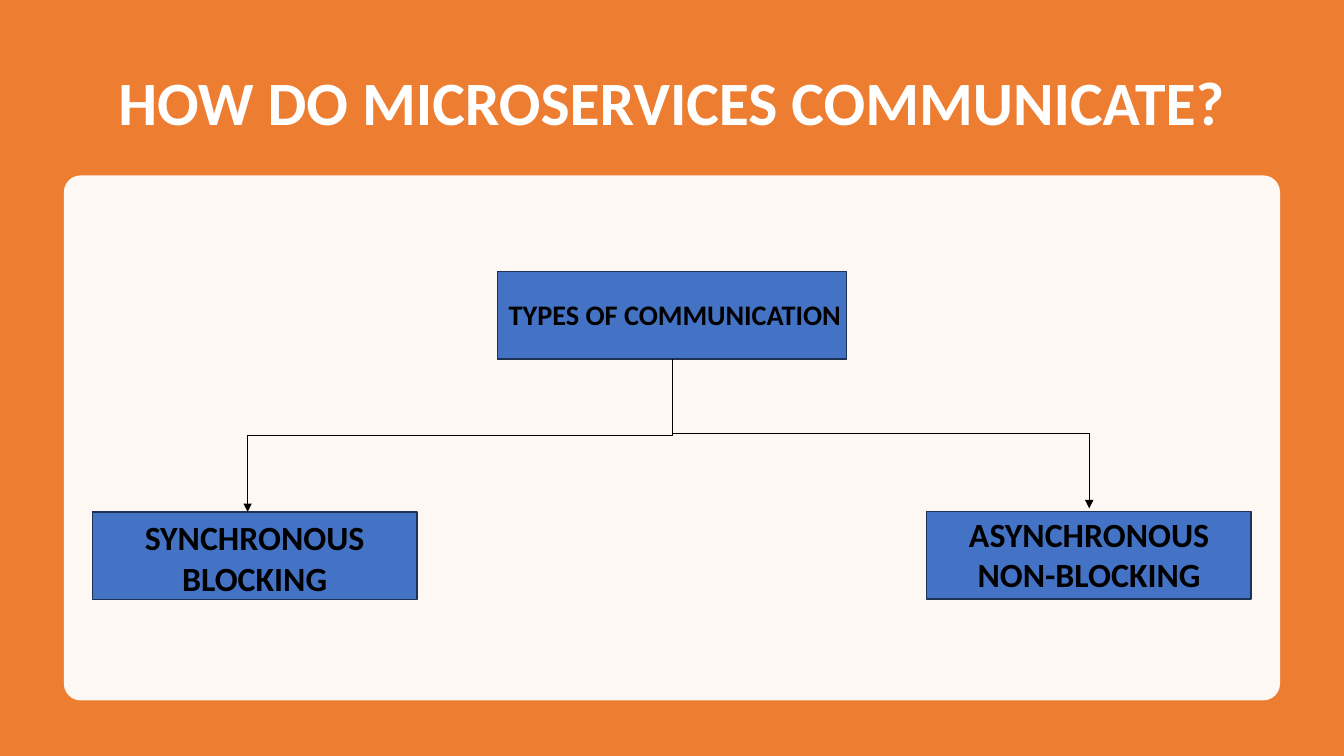
from lxml import etree
from pptx import Presentation
from pptx.dml.color import RGBColor
from pptx.enum.shapes import MSO_CONNECTOR, MSO_SHAPE
from pptx.enum.text import MSO_ANCHOR, MSO_AUTO_SIZE, PP_ALIGN
from pptx.oxml.ns import qn
from pptx.util import Cm, Pt

RECT, ROUND = MSO_SHAPE.RECTANGLE, MSO_SHAPE.ROUNDED_RECTANGLE
ELBOW = MSO_CONNECTOR.ELBOW
LEFT, CENTER = PP_ALIGN.LEFT, PP_ALIGN.CENTER
TOP, MIDDLE = MSO_ANCHOR.TOP, MSO_ANCHOR.MIDDLE
GROW, FIXED = MSO_AUTO_SIZE.SHAPE_TO_FIT_TEXT, MSO_AUTO_SIZE.NONE

# Content: places are left, top, width, height in cm
WIDE, HIGH = 33.87, 19.05
TITLE = ("HOW DO MICROSERVICES COMMUNICATE?", (2.33, 1.27, 29.21, 2.79))
PANEL = (1.61, 4.42, 30.65, 13.23)
ROOT = (12.54, 6.84, 8.79, 2.21)
# label, label place, size, alignment
LABELS = [
    ("TYPES OF COMMUNICATION", (12.57, 7.37, 9.7, 1.14), 20.2, LEFT),
    ("SYNCHRONOUS BLOCKING", (2.75, 12.9, 7.34, 2.36), 24.2, CENTER),
    ("ASYNCHRONOUS NON-BLOCKING", (23.78, 12.81, 7.34, 2.36), 24.2, CENTER),
]
# box place, arrow tip
KINDS = [
    ((23.35, 12.89, 8.18, 2.21), (27.45, 12.81)),
    ((2.33, 12.9, 8.18, 2.21), (6.24, 12.9)),
]

prs = Presentation()
prs.slide_width, prs.slide_height = Cm(WIDE), Cm(HIGH)
slide = prs.slides.add_slide(prs.slide_layouts[6])
shapes = slide.shapes


def color(code):
    return RGBColor.from_string(code)


def block(place, fill, form=RECT, line=None):
    shape = shapes.add_shape(form, *map(Cm, place))
    shape.shadow.inherit = False
    shape.fill.solid()
    shape.fill.fore_color.rgb = color(fill)
    if line:
        shape.line.color.rgb = color(line)
        shape.line.width = Pt(1)
    else:
        shape.line.fill.background()
    return shape


def write(text, place, size=24, ink="000000", align=CENTER, anchor=TOP,
          fit=GROW, after=6, space=1.0):
    frame = shapes.add_textbox(*map(Cm, place)).text_frame
    frame.word_wrap = True
    frame.auto_size = fit
    frame.vertical_anchor = anchor
    para = frame.paragraphs[0]
    para.alignment = align
    para.space_after = Pt(after)
    para.line_spacing = space
    run = para.add_run()
    run.text = text
    font = run.font
    font.name, font.size, font.bold = "Calibri", Pt(size), True
    font.color.rgb = color(ink)


def branch(start, tip):
    # The elbow runs sideways, so it is laid out unturned and then rotated
    (x1, y1), (x2, y2) = start, tip
    mid_x, mid_y = (x1 + x2) / 2, (y1 + y2) / 2
    right = x2 > x1
    half_w = (y2 - y1) / 2 * (-1 if right else 1)
    half_h = abs(x2 - x1) / 2
    link = shapes.add_connector(
        ELBOW, Cm(mid_x - half_w), Cm(mid_y - half_h),
        Cm(mid_x + half_w), Cm(mid_y + half_h))
    link.line.color.rgb = color("000000")
    link.line.width = Pt(0.5)
    props = link._element.spPr
    turn = 270 if right else 90
    props.find(qn("a:xfrm")).set("rot", str(turn * 60000))
    etree.SubElement(props.find(qn("a:ln")), qn("a:tailEnd"), type="triangle")
    etree.SubElement(props, qn("a:effectLst"))


# Background, title and panel
block((0, 0, WIDE, HIGH), "ED7D31")
write(*TITLE, size=44, ink="FFFFFF", anchor=MIDDLE, fit=FIXED, after=0,
      space=0.9)
panel = block(PANEL, "FFFFFF", form=ROUND)
panel.adjustments[0] = 0.032
tint = panel._element.spPr.find(qn("a:solidFill"))[0]
etree.SubElement(tint, qn("a:alpha"), val="95000")

# Boxes and their labels
for place in [ROOT] + [box for box, tip in KINDS]:
    block(place, "4472C4", line="1E3256")
for text, place, size, align in LABELS:
    write(text, place, size=size, align=align)

# Arrows from the root box
left, top, width, height = ROOT
for box, tip in KINDS:
    branch((left + width / 2, top + height), tip)

prs.save("out.pptx")
